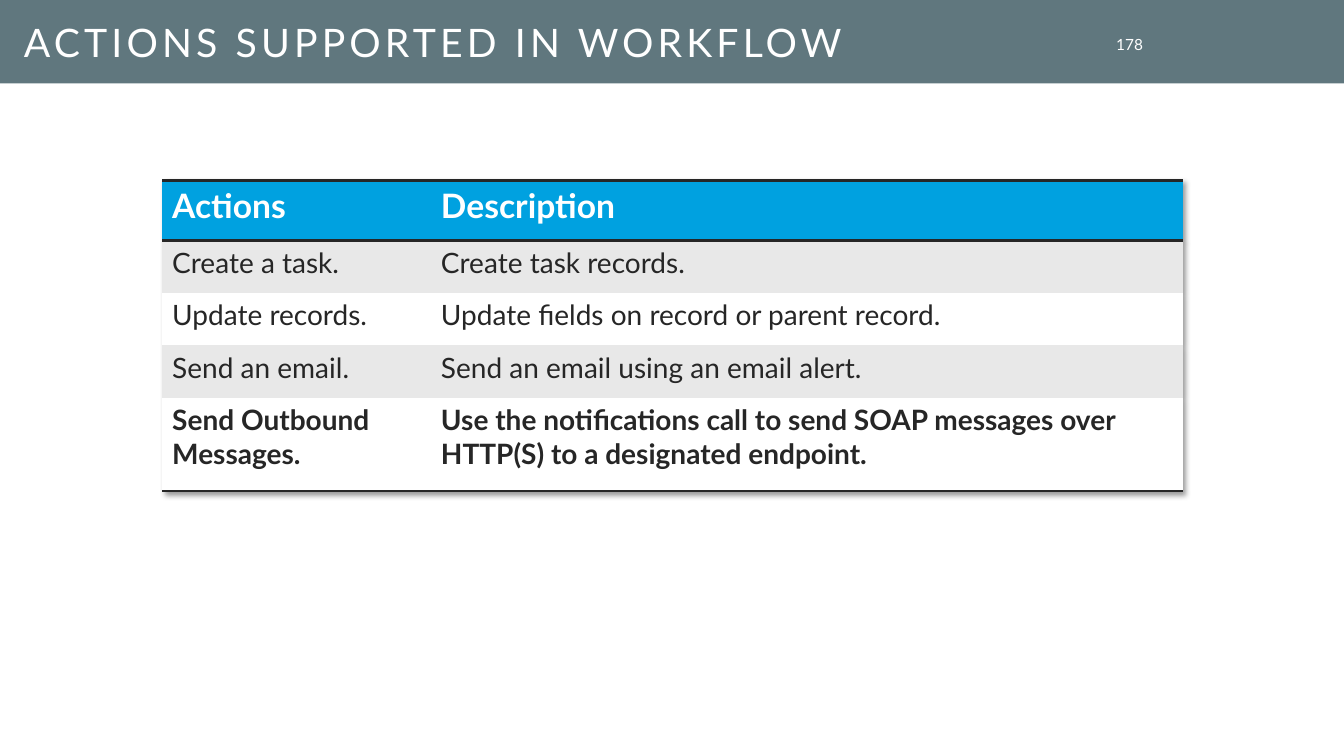
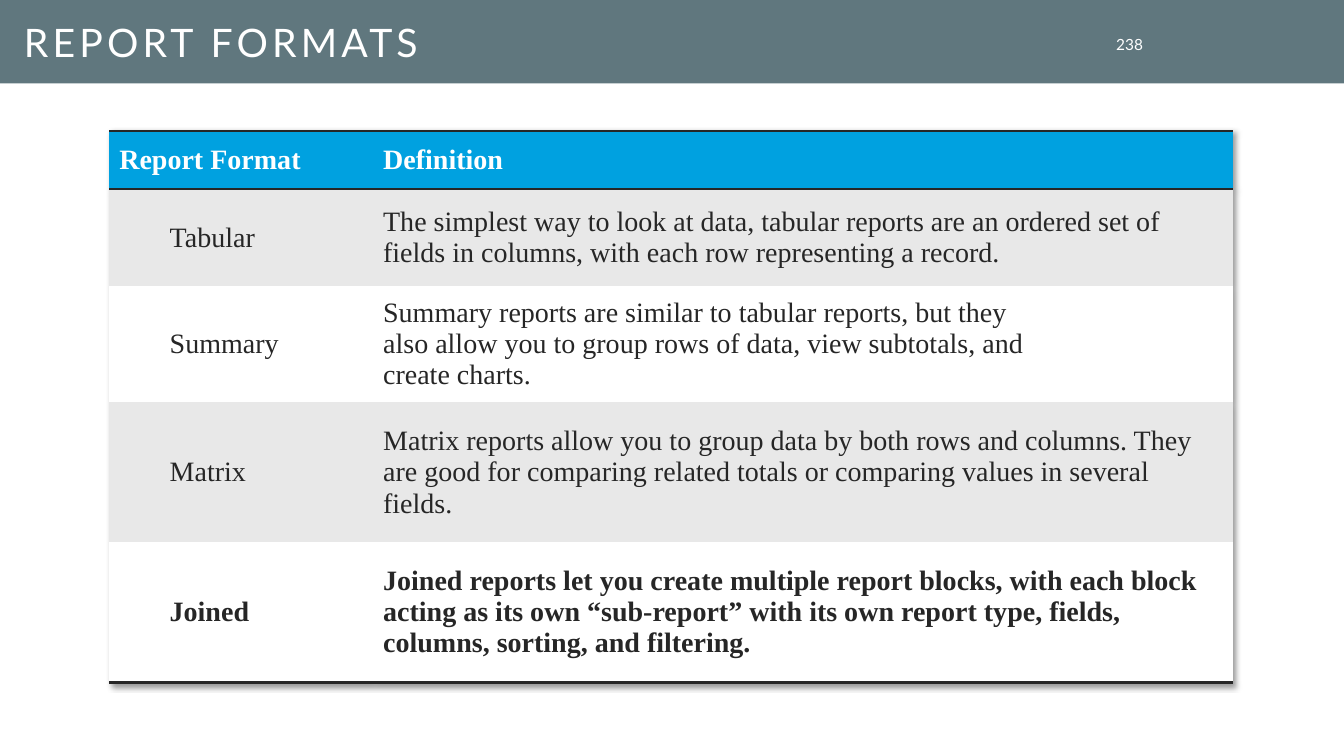
from lxml import etree
from pptx import Presentation
from pptx.dml.color import RGBColor
from pptx.enum.shapes import MSO_SHAPE
from pptx.enum.text import MSO_ANCHOR, PP_ALIGN
from pptx.oxml import parse_xml
from pptx.oxml.ns import nsdecls, qn
from pptx.util import Pt

RECT = MSO_SHAPE.RECTANGLE
TOP, MIDDLE = MSO_ANCHOR.TOP, MSO_ANCHOR.MIDDLE
LEFT, RIGHT = PP_ALIGN.LEFT, PP_ALIGN.RIGHT

WIDTH, HEIGHT = 960, 540
BAND = 59.7
SLATE, BLUE, GRAY = "60777E", "00A1E0", "E8E8E8"
WHITE, INK = "FFFFFF", "262626"
SANS, SERIF = "Lato", "Times New Roman"
PLAIN = "{2D5ABB26-0587-4C30-8999-92F81FD0307C}"

ACTIONS = [
    ("Actions", "Description"),
    ("Create a task.", "Create task records."),
    ("Update records.", "Update fields on record or parent record."),
    ("Send an email.", "Send an email using an email alert."),
    ("Send Outbound Messages.",
     "Use the notifications call to send SOAP messages over HTTP(S) "
     "to a designated endpoint."),
]
FORMATS = [
    ("Report Format", "Definition"),
    ("Tabular",
     "The simplest way to look at data, tabular reports are an ordered set of "
     "fields in columns, with each row representing a record."),
    ("Summary",
     "Summary reports are similar to tabular reports, but they\v"
     "also allow you to group rows of data, view subtotals, and\v"
     "create charts."),
    ("Matrix",
     "Matrix reports allow you to group data by both rows and columns. They "
     "are good for comparing related totals or comparing values in several "
     "fields."),
    ("Joined",
     "Joined reports let you create multiple report blocks, with each block "
     "acting as its own “sub-report” with its own report type, fields, "
     "columns, sorting, and filtering."),
]


def paint(target, color):
    """Fill a shape, cell or font with one hex colour."""
    target.fill.solid()
    target.fill.fore_color.rgb = RGBColor.from_string(color)


def style(para, face, size, color, bold=False):
    font = para.font
    font.name, font.size, font.bold = face, Pt(size), bold
    paint(font, color)


def label(slide, box, text, size, align, pads):
    shape = slide.shapes.add_textbox(*map(Pt, box))
    frame = shape.text_frame
    frame.word_wrap = True
    frame.vertical_anchor = MIDDLE
    frame.margin_top, frame.margin_bottom = map(Pt, pads)
    para = frame.paragraphs[0]
    para.text = text
    para.alignment = align
    style(para, SANS, size, WHITE)
    return para


def header(slide, title, number):
    band = slide.shapes.add_shape(RECT, 0, 0, Pt(WIDTH), Pt(BAND))
    band.shadow.inherit = False
    paint(band, SLATE)
    band.line.fill.background()
    label(slide, (785.5, 24, 38, 16), number, 11, RIGHT, (0, 0))
    para = label(slide, (10, 0, 775.5, 59), title, 28, LEFT, (10.8, 3.6))
    para.line_spacing = 0.8
    para.runs[0].font._element.set("spc", "300")


def rule(cell, side):
    """Draw a dark line on side T or B; call before the cell is filled."""
    props = cell._tc.get_or_add_tcPr()
    line = etree.SubElement(props, qn(f"a:ln{side}"), w=str(Pt(2)))
    fill = etree.SubElement(line, qn("a:solidFill"))
    etree.SubElement(fill, qn("a:srgbClr"), val=INK)


def shade(table):
    """Drop the table style and cast a soft shadow."""
    props = table._tbl.tblPr
    props.find(qn("a:tableStyleId")).text = PLAIN
    props.insert(0, parse_xml(
        f'<a:effectLst {nsdecls("a")}>'
        '<a:outerShdw blurRad="50800" dist="38100" dir="2700000">'
        '<a:srgbClr val="000000"><a:alpha val="40000"/></a:srgbClr>'
        '</a:outerShdw></a:effectLst>'))


def grid(slide, spot, cols, rows, data, face, sizes, anchor, indent=0):
    """Place a striped table; sizes are those of the head and the body."""
    box = (*spot, sum(cols), sum(rows))
    table = slide.shapes.add_table(
        len(rows), len(cols), *map(Pt, box)).table
    shade(table)
    for col, width in zip(table.columns, cols):
        col.width = Pt(width)
    last = len(rows) - 1
    for r, (height, texts) in enumerate(zip(rows, data)):
        table.rows[r].height = Pt(height)
        head = r == 0
        for c, text in enumerate(texts):
            cell = table.cell(r, c)
            if head:
                rule(cell, "T")
            if r in (0, last):
                rule(cell, "B")
            paint(cell, BLUE if head else GRAY if r % 2 else WHITE)
            cell.vertical_anchor = anchor
            para = cell.text_frame.paragraphs[0]
            para.text = text
            para.alignment = LEFT
            if indent and c == 0 and not head:
                para._p.get_or_add_pPr().set("marL", str(Pt(indent)))
            style(para, face, sizes[0 if head else 1],
                  WHITE if head else INK, r in (0, last))


def main():
    deck = Presentation()
    deck.slide_width, deck.slide_height = Pt(WIDTH), Pt(HEIGHT)
    blank = deck.slide_layouts[6]

    slide = deck.slides.add_slide(blank)
    header(slide, "ACTIONS SUPPORTED IN WORKFLOW", "178")
    grid(slide, (115.8, 128.8), (192, 537), (43, 37.5, 37.5, 37.5, 66.5),
         ACTIONS, SANS, (24, 20), TOP)

    slide = deck.slides.add_slide(blank)
    header(slide, "REPORT FORMATS", "238")
    grid(slide, (78, 93.5), (188.5, 614), (41.5, 69.5, 83, 100, 100),
         FORMATS, SERIF, (20, 20), MIDDLE, 36)

    deck.save("out.pptx")


if __name__ == "__main__":
    main()
